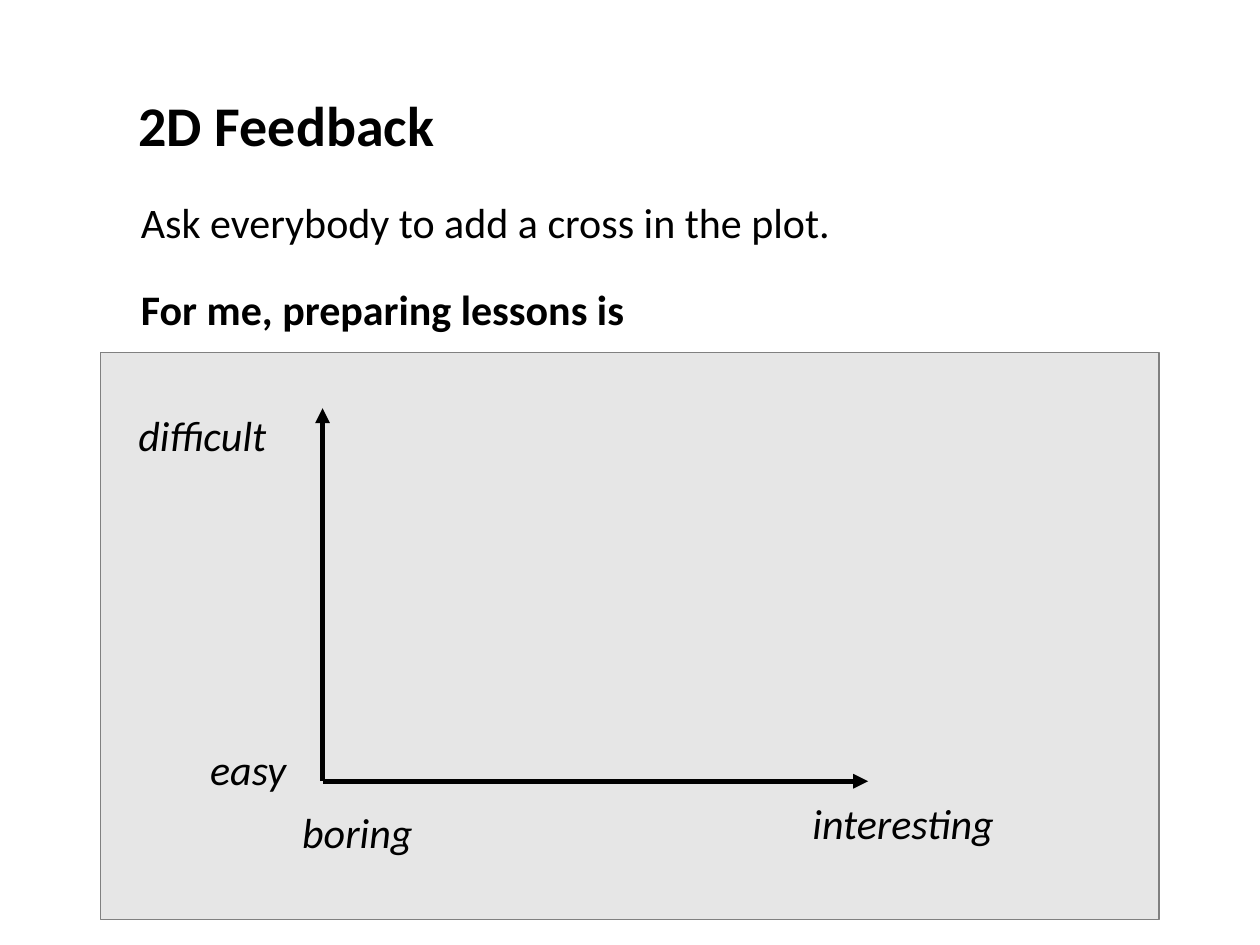
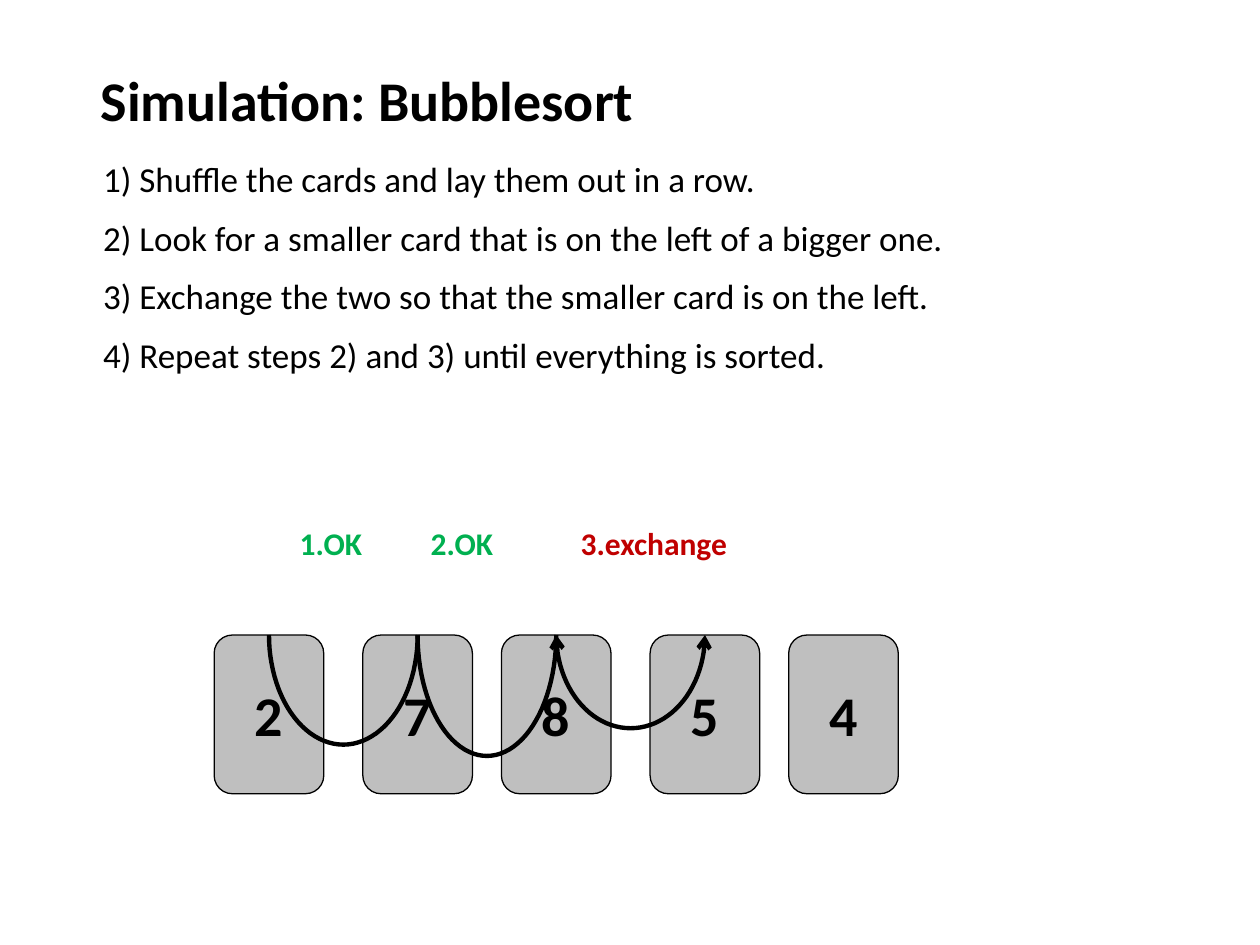
import math

from lxml import etree
from pptx import Presentation
from pptx import util as u
from pptx.dml.color import RGBColor
from pptx.enum import shapes, text
from pptx.oxml.ns import qn

COLS, ROWS = 10, 7.5
CELL = u.Inches(1)
FONT = "Calibri"
BLACK, PANEL, PANEL_EDGE, CARD = "000000", "E6E6E6", "808080", "BFBFBF"
GREEN, RED = "00B050", "C00000"


def grid(*cells):
    """Turn columns and rows of the grid into lengths."""
    return [round(c * CELL) for c in cells]


def rgb(hex_string):
    """Return the colour for a hex string."""
    return RGBColor.from_string(hex_string)


def add_run(p, words, size, color=BLACK, bold=False, italic=False):
    """Add one styled run to a paragraph."""
    r = p.add_run()
    r.text = words
    r.font.name, r.font.size = FONT, u.Pt(size)
    r.font.bold, r.font.italic = bold, italic
    r.font.color.rgb = rgb(color)


def add_text(s, box, lines, size, spacing=1.0, anchor=text.MSO_ANCHOR.TOP, **style):
    """Add a text box with one paragraph for each line."""
    tf = s.shapes.add_textbox(*grid(*box)).text_frame
    tf.word_wrap = True
    tf.vertical_anchor = anchor
    for i, line in enumerate(lines):
        p = tf.add_paragraph() if i else tf.paragraphs[0]
        if i:
            p.line_spacing = spacing
        add_run(p, line, size, **style)


def add_title(s, left, top, width, words):
    """Add the slide title in the shared style."""
    add_text(s, (left, top, width, 0.63), [words], 32,
             anchor=text.MSO_ANCHOR.MIDDLE, bold=True)


def add_box(s, kind, box, fill, edge, weight):
    """Add a filled and outlined preset shape."""
    sp = s.shapes.add_shape(kind, *grid(*box))
    sp.shadow.inherit = False
    sp.fill.solid()
    sp.fill.fore_color.rgb = rgb(fill)
    sp.line.color.rgb = rgb(edge)
    sp.line.width = u.Pt(weight)
    return sp


def style_stroke(sp, weight, **ends):
    """Give a line its black stroke and its arrowheads."""
    sp.line.color.rgb = rgb(BLACK)
    sp.line.width = u.Pt(weight)
    ln = sp.line._get_or_add_ln()
    for end in ("headEnd", "tailEnd"):
        if end in ends:
            etree.SubElement(ln, qn("a:" + end), type=ends[end])


def add_axis(s, start, stop):
    """Add a straight axis with an arrowhead at its far end."""
    cx = s.shapes.add_connector(shapes.MSO_CONNECTOR.STRAIGHT, *grid(*start, *stop))
    style_stroke(cx, 2.83, tailEnd="triangle")
    etree.SubElement(cx.line._get_or_add_ln().getparent(), qn("a:effectLst"))


def add_arc(s, left, right, top, depth, **ends):
    """Hang a half ellipse between two points of the same height."""
    middle, radius, steps = (left + right) / 2, (right - left) / 2, 48
    points = [grid(middle - radius * math.cos(math.pi * i / steps),
                   top + depth * math.sin(math.pi * i / steps))
              for i in range(steps + 1)]
    builder = s.shapes.build_freeform(*points[0])
    builder.add_line_segments(points[1:], close=False)
    sp = builder.convert_to_shape()
    sp.shadow.inherit = False
    sp.fill.background()
    style_stroke(sp, 2.5, **ends)


def add_plot(s, box):
    """Draw the empty feedback plot inside a grey panel."""
    left, top = box[:2]
    add_box(s, shapes.MSO_SHAPE.RECTANGLE, box, PANEL, PANEL_EDGE, 0)
    labels = [("difficult", 0.2, 0.4), ("easy", 0.77, 3.05),
              ("interesting", 5.55, 3.48), ("boring", 1.5, 3.55)]
    for words, dx, dy in labels:
        add_text(s, (left + dx, top + dy, 1.8, 0.5), [words], 24, italic=True)
    origin = left + 1.76, top + 3.4
    add_axis(s, origin, (origin[0], top + 0.44))
    add_axis(s, origin, (left + 6.09, origin[1]))


def add_cards(s, box, values):
    """Lay out the row of cards in pairs and draw the comparisons."""
    left, top, width, height = box
    lefts = [left + 2.28 * (i // 2) + 1.18 * (i % 2) for i in range(len(values))]
    for x, value in zip(lefts, values):
        sp = add_box(s, shapes.MSO_SHAPE.ROUNDED_RECTANGLE,
                     (x, top, width, height), CARD, BLACK, 0.75)
        tf = sp.text_frame
        tf.vertical_anchor = text.MSO_ANCHOR.MIDDLE
        tf.paragraphs[0].alignment = text.PP_ALIGN.CENTER
        add_run(tf.paragraphs[0], value, 32, bold=True)
    swap = {"headEnd": "arrow", "tailEnd": "arrow"}
    comparisons = [("1.OK", 0.58, GREEN, 0.87, {}),
                   ("2.OK", 1.62, GREEN, 0.96, {}),
                   ("3.exchange", 2.81, RED, 0.74, swap)]
    centres = [x + width / 2 for x in lefts]
    for (words, dx, color, depth, ends), a, b in zip(comparisons, centres, centres[1:]):
        add_text(s, (left + dx, top - 0.93, 2, 0.4), [words], 18, color=color, bold=True)
        add_arc(s, a, b, top, depth, **ends)


def feedback_slide(s):
    """Build the slide with the two-dimensional feedback plot."""
    add_title(s, 1, 0.67, 8.51, "2D Feedback")
    add_text(s, (1.02, 1.51, 7.68, 0.5), ["Ask everybody to add a cross in the plot."], 24)
    add_text(s, (1.02, 2.2, 7.98, 0.5), ["For me, preparing lessons is"], 24, bold=True)
    add_plot(s, (0.8, 2.8, 8.4, 4.5))


def bubblesort_slide(s):
    """Build the slide that explains sorting with cards."""
    add_title(s, 0.7, 0.47, 8.81, "Simulation: Bubblesort")
    steps = ["1) Shuffle the cards and lay them out in a row.",
             "2) Look for a smaller card that is on the left of a bigger one.",
             "3) Exchange the two so that the smaller card is on the left.",
             "4) Repeat steps 2) and 3) until everything is sorted."]
    add_text(s, (0.72, 1.2, 8.98, 2), steps, 20, spacing=1.4)
    add_cards(s, (1.7, 5.04, 0.87, 1.26), "27854")


def main():
    """Build and save the presentation."""
    prs = Presentation()
    prs.slide_width, prs.slide_height = grid(COLS, ROWS)
    for build in (feedback_slide, bubblesort_slide):
        build(prs.slides.add_slide(prs.slide_layouts[6]))
    prs.save("out.pptx")


if __name__ == "__main__":
    main()
